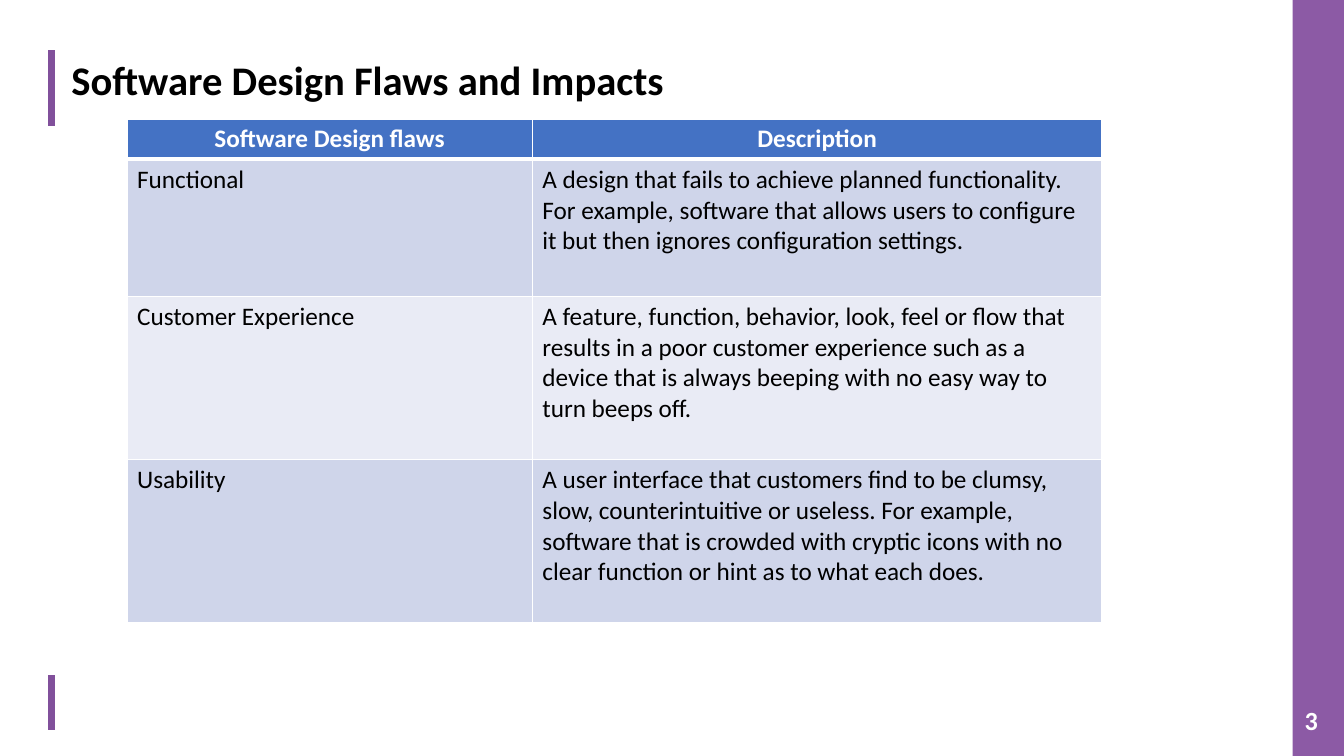
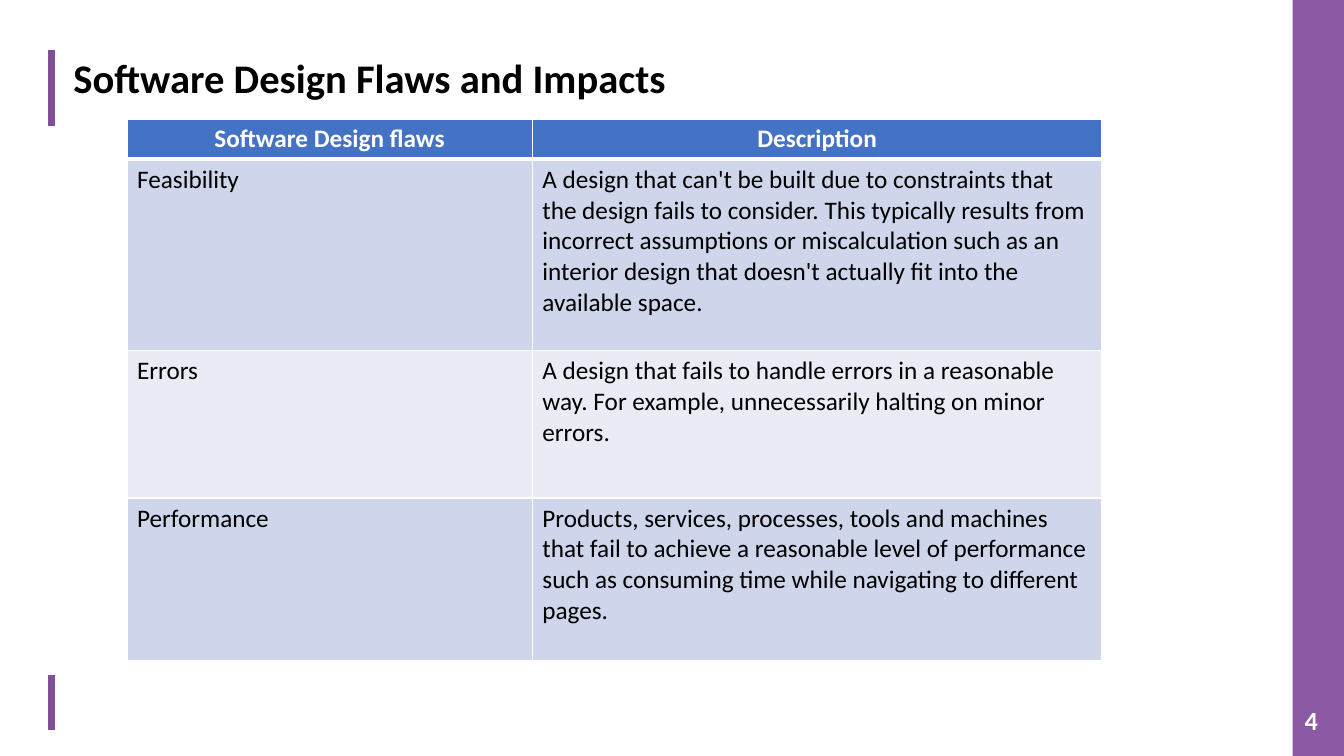
from dataclasses import dataclass

from lxml import etree
from pptx import Presentation
from pptx.dml.color import RGBColor
from pptx.enum import shapes, text
from pptx.oxml import ns
from pptx.util import Inches, Pt


@dataclass(frozen=True)
class Theme:
    """Colours, font and type sizes of the deck."""
    font: str = "Calibri"
    accent: str = "81509B"
    band: str = "8C5AA5"
    header: str = "4472C4"
    stripes: tuple = ("CFD5EA", "E9EBF5")
    dark: str = "000000"
    light: str = "FFFFFF"
    title_size: float = 29
    body_size: float = 18
    number_size: float = 18.7
    accent_width: float = 5
    grid_width: float = 1
    header_rule: float = 3


class Deck:
    """Holds the style and the current slide."""

    def __init__(self, theme):
        """Start an empty widescreen presentation."""
        self.theme = theme
        self.presentation = Presentation()
        self.presentation.slide_width = Inches(13.33)
        self.presentation.slide_height = Inches(7.5)
        self.slide = None

    def new_slide(self, number):
        """Add a slide with the accent marks, side band and page number."""
        self.slide = self.presentation.slides.add_slide(self.presentation.slide_layouts[6])
        for top, bottom in ((0.5, 1.25), (6.7, 7.24)):
            self.accent_mark(0.51, top, bottom)
        self.side_band()
        self.label(str(number), (12.87, 6.95, 0.44, 0.38), self.theme.number_size,
                   self.theme.light, margins=(0.07, 0.03))

    def accent_mark(self, x, top, bottom):
        """Draw a thick vertical line."""
        mark = self.slide.shapes.add_connector(
            shapes.MSO_CONNECTOR.STRAIGHT, Inches(x), Inches(top), Inches(x), Inches(bottom))
        mark.line.color.rgb = RGBColor.from_string(self.theme.accent)
        mark.line.width = Pt(self.theme.accent_width)
        etree.SubElement(mark._element.spPr, ns.qn("a:effectLst"))

    def side_band(self):
        """Draw the full-height band on the right edge."""
        band = self.slide.shapes.add_shape(
            shapes.MSO_SHAPE.RECTANGLE, Inches(12.82), 0, Inches(0.51), Inches(7.5))
        band.shadow.inherit = False
        band.fill.solid()
        band.fill.fore_color.rgb = RGBColor.from_string(self.theme.band)
        band.line.fill.background()

    def style(self, paragraph, size, color, bold):
        """Set the font of a paragraph."""
        font = paragraph.font
        font.name, font.size, font.bold = self.theme.font, Pt(size), bold
        font.color.rgb = RGBColor.from_string(color)

    def label(self, words, box, size, color, margins=(0.1, 0.05)):
        """Place one bold line of text, centred vertically in its box."""
        frame = self.slide.shapes.add_textbox(*map(Inches, box)).text_frame
        frame.word_wrap = True
        frame.vertical_anchor = text.MSO_ANCHOR.MIDDLE
        frame.margin_left = frame.margin_right = Inches(margins[0])
        frame.margin_top = frame.margin_bottom = Inches(margins[1])
        frame.text = words
        self.style(frame.paragraphs[0], size, color, True)

    def title(self, words, left, top):
        """Place the slide title."""
        self.label(words, (left, top, 11.64, 0.54), self.theme.title_size, self.theme.dark)

    def borders(self, cell, top, bottom):
        """Draw the four borders of a table cell."""
        properties = cell._tc.get_or_add_tcPr()
        grid = self.theme.grid_width
        for side, width in (("L", grid), ("R", grid), ("T", top), ("B", bottom)):
            line = etree.SubElement(properties, ns.qn(f"a:ln{side}"), w=str(Pt(width)))
            fill = etree.SubElement(line, ns.qn("a:solidFill"))
            etree.SubElement(fill, ns.qn("a:srgbClr"), val=self.theme.light)

    def table_cell(self, cell, words, row):
        """Fill and style a table cell according to its row."""
        theme = self.theme
        is_header = row == 0
        self.borders(cell,
                     theme.header_rule if row == 1 else theme.grid_width,
                     theme.header_rule if is_header else theme.grid_width)
        cell.fill.solid()
        cell.fill.fore_color.rgb = RGBColor.from_string(
            theme.header if is_header else theme.stripes[(row - 1) % 2])
        cell.text = words
        paragraph = cell.text_frame.paragraphs[0]
        if is_header:
            paragraph.alignment = text.PP_ALIGN.CENTER
        self.style(paragraph, theme.body_size, theme.light if is_header else theme.dark, is_header)

    def table(self, rows, heights, widths=(4.02, 5.65)):
        """Add a table whose first row is the header."""
        table = self.slide.shapes.add_table(
            len(rows), len(widths), Inches(1.26), Inches(1.18),
            Inches(sum(widths)), Inches(sum(heights))).table
        for column, width in zip(table.columns, widths):
            column.width = Inches(width)
        for row, (entries, height) in enumerate(zip(rows, heights)):
            table.rows[row].height = Inches(height)
            for column, words in enumerate(entries):
                self.table_cell(table.cell(row, column), words, row)


TITLE = "Software Design Flaws and Impacts"
HEADER = ("Software Design flaws", "Description")
HEADER_HEIGHT = 0.4
FLAW_SLIDES = (
    (3, (0.61, 0.52), (1.36, 1.62, 1.62), (
        ("Functional",
         "A design that fails to achieve planned functionality. For example, software that "
         "allows users to configure it but then ignores configuration settings."),
        ("Customer Experience",
         "A feature, function, behavior, look, feel or flow that results in a poor customer "
         "experience such as a device that is always beeping with no easy way to turn beeps off."),
        ("Usability",
         "A user interface that customers find to be clumsy, slow, counterintuitive or useless. "
         "For example, software that is crowded with cryptic icons with no clear function or "
         "hint as to what each does."),
    )),
    (4, (0.63, 0.5), (1.9, 1.46, 1.61), (
        ("Feasibility",
         "A design that can't be built due to constraints that the design fails to consider. "
         "This typically results from incorrect assumptions or miscalculation such as an "
         "interior design that doesn't actually fit into the available space."),
        ("Errors",
         "A design that fails to handle errors in a reasonable way. For example, unnecessarily "
         "halting on minor errors."),
        ("Performance",
         "Products, services, processes, tools and machines that fail to achieve a reasonable "
         "level of performance such as consuming time while navigating to different pages."),
    )),
)


def main():
    """Build and save the deck."""
    deck = Deck(Theme())
    for number, title_corner, heights, flaws in FLAW_SLIDES:
        deck.new_slide(number)
        deck.title(TITLE, *title_corner)
        deck.table((HEADER, *flaws), (HEADER_HEIGHT, *heights))
    deck.presentation.save("out.pptx")


if __name__ == "__main__":
    main()
